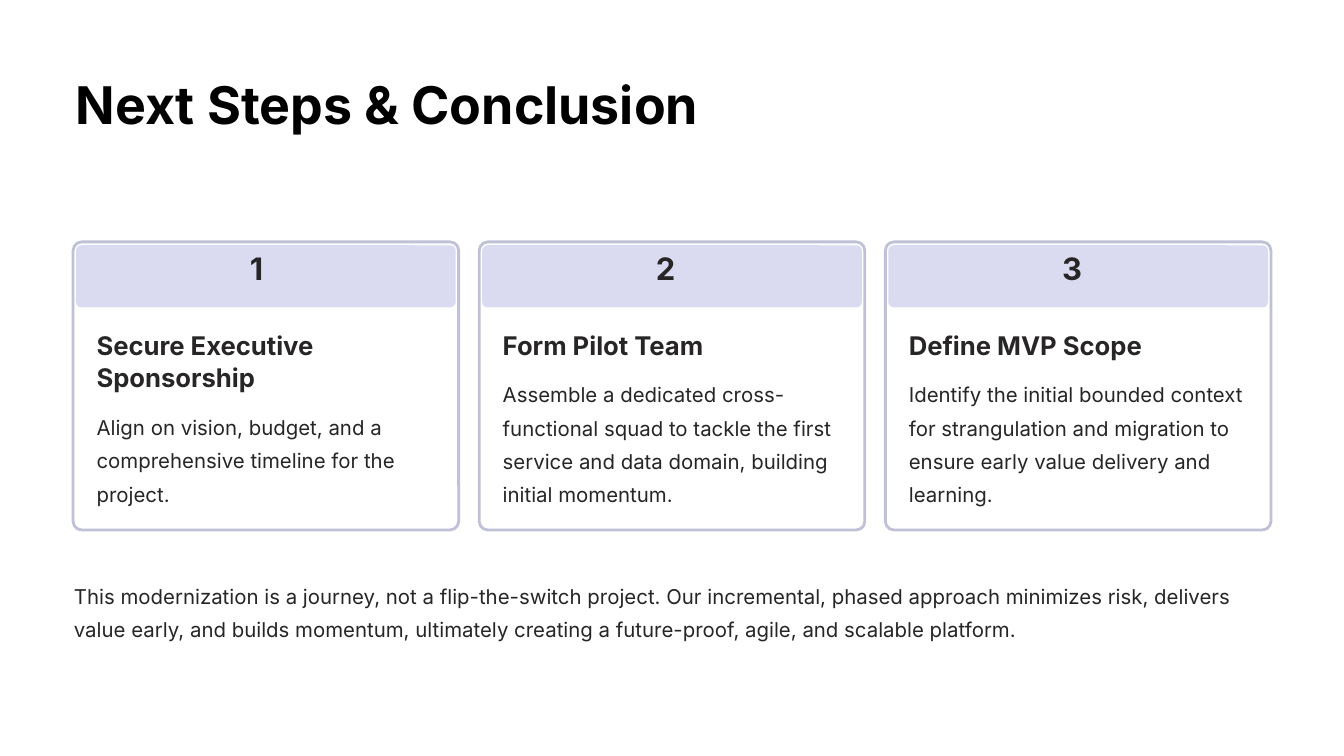
import dataclasses
import pptx
import pptx.dml.color
import pptx.enum.shapes
import pptx.enum.text
import pptx.util

COLS, ROWS = 160, 90
CELL = pptx.util.Inches(0.1)
PITCH = 48.35
FONT = "Inter"
HEX = {
    "page": "FFFFFF",
    "title": "000000",
    "text": "272525",
    "band": "DADBF1",
    "edge": "C0C1D7",
}


@dataclasses.dataclass(frozen=True)
class Box:
    """A place on the slide, in grid columns and rows."""
    left: float
    top: float
    width: float
    height: float

    def emu(self) -> tuple[int, ...]:
        return tuple(round(n * CELL) for n in dataclasses.astuple(self))


@dataclasses.dataclass(frozen=True)
class Style:
    size: float
    lead: float
    bold: bool = False
    color: str = "text"


@dataclasses.dataclass(frozen=True)
class Step:
    head: str
    body: str
    lines: int = 1


TITLE = Style(44.5, 55.5, True, "title")
NUMBER = Style(26.5, 26.5, True)
HEAD = Style(22, 27.5, True)
BODY = Style(17.5, 28.5)

STEPS = [
    Step("Secure Executive Sponsorship",
         "Align on vision, budget, and a comprehensive timeline for the project.", 2),
    Step("Form Pilot Team",
         "Assemble a dedicated cross-functional squad to tackle the first service "
         "and data domain, building initial momentum."),
    Step("Define MVP Scope",
         "Identify the initial bounded context for strangulation and migration to "
         "ensure early value delivery and learning."),
]
CLOSING = ("This modernization is a journey, not a flip-the-switch project. Our "
           "incremental, phased approach minimizes risk, delivers value early, and "
           "builds momentum, ultimately creating a future-proof, agile, and scalable "
           "platform.")


def rgb(name: str) -> pptx.dml.color.RGBColor:
    return pptx.dml.color.RGBColor.from_string(HEX[name])


def write(shape, text: str, style: Style, wrap: bool = True) -> None:
    frame = shape.text_frame
    frame.margin_left = frame.margin_right = 0
    frame.margin_top = frame.margin_bottom = 0
    frame.auto_size = pptx.enum.text.MSO_AUTO_SIZE.NONE
    frame.vertical_anchor = pptx.enum.text.MSO_ANCHOR.TOP
    frame.word_wrap = wrap
    para = frame.paragraphs[0]
    para.alignment = pptx.enum.text.PP_ALIGN.LEFT
    para.line_spacing = pptx.util.Pt(style.lead)
    run = para.add_run()
    run.text = text
    run.font.name = FONT
    run.font.size = pptx.util.Pt(style.size)
    run.font.bold = style.bold
    run.font.color.rgb = rgb(style.color)


def label(slide, box: Box, text: str, style: Style, wrap: bool = True) -> None:
    write(slide.shapes.add_textbox(*box.emu()), text, style, wrap)


def panel(slide, box: Box, fill: str, curve: float, edge: str = "") -> None:
    kind = pptx.enum.shapes.MSO_SHAPE.ROUNDED_RECTANGLE
    shape = slide.shapes.add_shape(kind, *box.emu())
    shape.adjustments[0] = curve
    shape.shadow.inherit = False
    shape.fill.solid()
    shape.fill.fore_color.rgb = rgb(fill)
    if edge:
        shape.line.color.rgb = rgb(edge)
        shape.line.width = pptx.util.Pt(2.4)
    else:
        shape.line.fill.background()


def card(slide, index: int, step: Step) -> None:
    left = 8.7 + index * PITCH
    panel(slide, Box(left, 28.8, 45.9, 34.3), "page", 0.03, "edge")
    panel(slide, Box(left + 0.35, 29.2, 45.2, 7.4), "band", 0.086)
    label(slide, Box(left + 21.05, 30.5, 3.7, 4.7), str(index + 1), NUMBER, False)
    high = 3.9 * step.lines
    label(slide, Box(left + 2.8, 39.1, 40.3, high), step.head, HEAD)
    label(slide, Box(left + 2.8, 40.6 + high, 40.3, 15.9), step.body, BODY)


def main() -> None:
    deck = pptx.Presentation()
    deck.slide_width, deck.slide_height = COLS * CELL, ROWS * CELL
    slide = deck.slides.add_slide(deck.slide_layouts.get_by_name("Title Only"))
    slide.background.fill.solid()
    slide.background.fill.fore_color.rgb = rgb("page")
    title = slide.shapes.title
    title.left, title.top, title.width, title.height = Box(9, 8.4, 74.4, 7.8).emu()
    write(title, "Next Steps & Conclusion", TITLE, False)
    for index, step in enumerate(STEPS):
        card(slide, index, step)
    label(slide, Box(8.8, 68.5, 142.6, 7.9), CLOSING, BODY)
    deck.save("out.pptx")


if __name__ == "__main__":
    main()
